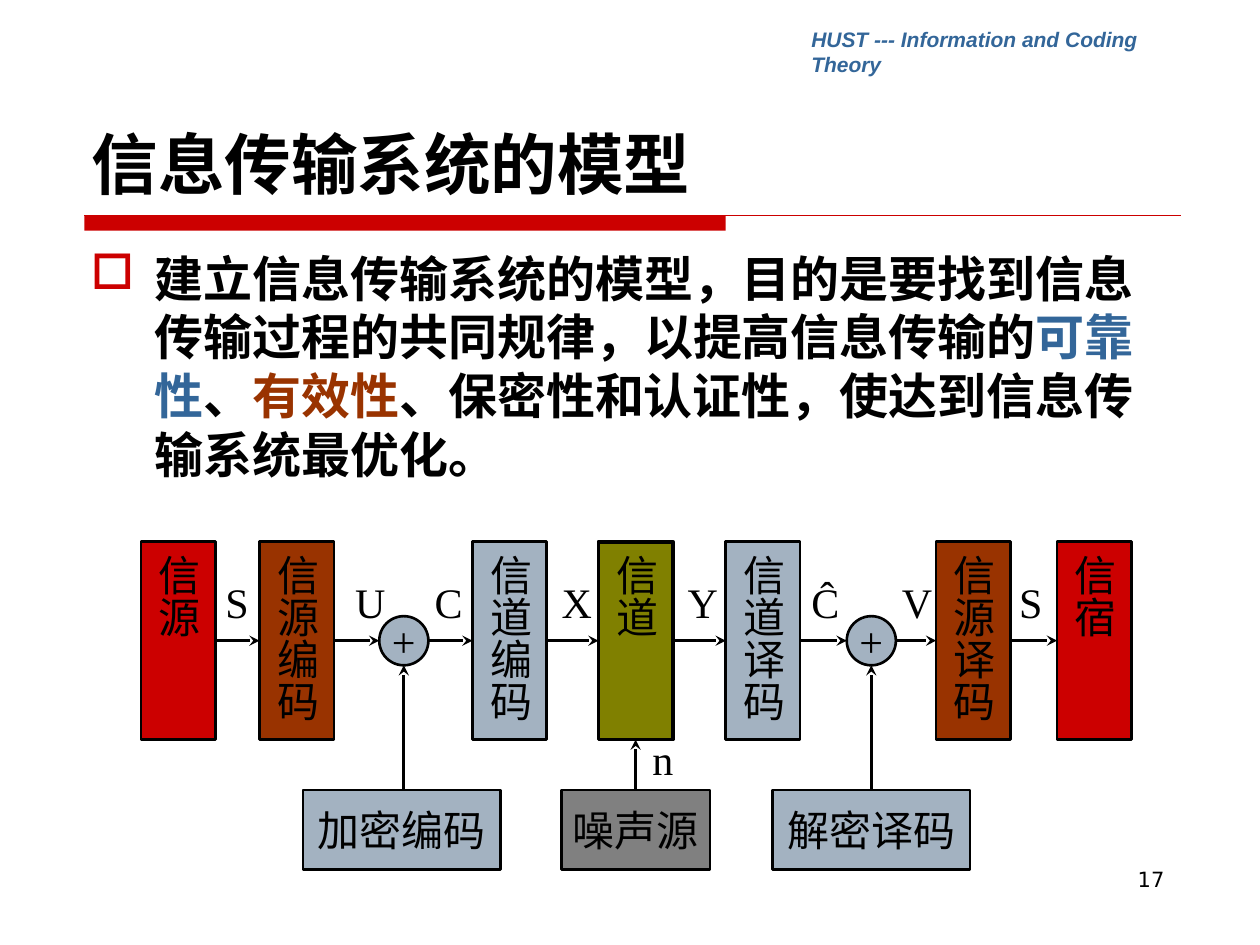
import pptx
import pptx.util
import pptx.dml.color
import pptx.enum.shapes
import pptx.enum.text
import pptx.oxml
import pptx.oxml.ns

Inches, Pt = pptx.util.Inches, pptx.util.Pt
RGB = pptx.dml.color.RGBColor
SHAPE = pptx.enum.shapes.MSO_SHAPE
LINE = pptx.enum.shapes.MSO_CONNECTOR.STRAIGHT
ALIGN = pptx.enum.text.PP_ALIGN
ANCHOR = pptx.enum.text.MSO_ANCHOR

BLACK = RGB(0x00, 0x00, 0x00)
RED = RGB(0xCC, 0x00, 0x00)
BROWN = RGB(0x99, 0x33, 0x00)
BLUE = RGB(0x33, 0x66, 0x99)
STEEL = RGB(0xA3, 0xB2, 0xC1)
OLIVE = RGB(0x80, 0x80, 0x00)
GRAY = RGB(0x80, 0x80, 0x80)
SANS, SERIF = "DejaVu Sans", "Times New Roman"

TITLE = "信息传输系统的模型"
HEADER = "HUST --- Information and Coding Theory"
BODY = [
    ("建立信息传输系统的模型，目的是要找到信息传输过程的共同规律，以提高信息传输的", BLACK),
    ("可靠性", BLUE),
    ("、", BLACK),
    ("有效性", BROWN),
    ("、保密性和认证性，使达到信息传输系统最优化。", BLACK),
]

# The chain from left to right: text, left edge, fill, line width; "+" is a mixer
CHAIN = [
    ("信源", 1.12, RED, 1.5),
    ("信源编码", 2.06, BROWN, 1.5),
    ("+", 3.01, STEEL, 1.5),
    ("信道编码", 3.75, STEEL, 1.5),
    ("信道", 4.75, OLIVE, 2.25),
    ("信道译码", 5.76, STEEL, 1.5),
    ("+", 6.72, STEEL, 1.5),
    ("信源译码", 7.43, BROWN, 1.5),
    ("信宿", 8.39, RED, 1.5),
]
SIGNALS = [("S", 1.69), ("U", 2.72), ("C", 3.35), ("X", 4.36),
           ("Y", 5.36), ("Ĉ", 6.34), ("V", 7.06), ("S", 7.99)]
# Inputs from below: text, centre, width, fill, index of the chain part fed
INPUTS = [("加密编码", 3.19, 1.57, STEEL, 2),
          ("噪声源", 5.045, 1.18, GRAY, 4),
          ("解密译码", 6.915, 1.57, STEEL, 6)]

TOP, WIDE, TALL, ROUND = 4.3, 0.59, 1.57, 0.39
MID = TOP + TALL / 2
LOW, DEEP = 6.27, 0.63

deck = pptx.Presentation()
deck.slide_width, deck.slide_height = Inches(10), Inches(7.5)
slide = deck.slides.add_slide(deck.slide_layouts[6])
shapes = slide.shapes


def write(shape, text, size=24, font=SERIF, color=BLACK, bold=False, italic=False,
          align=ALIGN.LEFT, anchor=ANCHOR.TOP, wrap=True, bullet=None):
    """Fill a shape with one paragraph; text is a string or (string, colour) runs."""
    frame = shape.text_frame
    frame.word_wrap, frame.vertical_anchor = wrap, anchor
    para = frame.paragraphs[0]
    para.alignment = align
    if bullet:
        props = para._p.get_or_add_pPr()
        props.set("marL", str(Inches(0.51)))
        props.set("indent", str(Inches(-0.51)))
        space = pptx.oxml.ns.nsdecls("a")
        props.append(pptx.oxml.parse_xml(
            f'<a:buClr {space}><a:srgbClr val="{RED}"/></a:buClr>'))
        props.append(pptx.oxml.parse_xml(f'<a:buChar {space} char="{bullet}"/>'))
    for part, tint in [(text, color)] if isinstance(text, str) else text:
        run = para.add_run()
        run.text = part
        face = run.font
        face.name, face.size, face.bold, face.italic = font, Pt(size), bold, italic
        face.color.rgb = tint


def label(text, left, top, width, height, **form):
    box = shapes.add_textbox(*map(Inches, (left, top, width, height)))
    write(box, text, **form)


def block(text, left, top, width, height, fill, line=1.5, kind=SHAPE.RECTANGLE,
          upright=False):
    part = shapes.add_shape(kind, *map(Inches, (left, top, width, height)))
    part.shadow.inherit = False
    part.fill.solid()
    part.fill.fore_color.rgb = fill
    part.line.color.rgb, part.line.width = BLACK, Pt(line)
    write(part, text, align=ALIGN.CENTER, anchor=ANCHOR.MIDDLE, wrap=False)
    if upright:
        frame = part.text_frame
        frame.margin_left = frame.margin_right = Inches(0.05)
        frame.margin_top = frame.margin_bottom = Inches(0.1)
        frame._txBody.bodyPr.set("vert", "eaVert")
    return part


def stroke(x1, y1, x2, y2, color=BLACK, width=1.5, head=True):
    link = shapes.add_connector(LINE, *map(Inches, (x1, y1, x2, y2)))
    link.line.color.rgb, link.line.width = color, Pt(width)
    space = pptx.oxml.ns.nsdecls("a")
    if head:
        link.line._get_or_add_ln().append(
            pptx.oxml.parse_xml(f'<a:tailEnd {space} type="stealth"/>'))
    link._element.spPr.append(pptx.oxml.parse_xml(f"<a:effectLst {space}/>"))
    return link


# Header, title and rule
bar = shapes.add_shape(SHAPE.RECTANGLE, *map(Inches, (0.67, 1.71, 5.09, 0.12)))
bar.shadow.inherit = False
bar.fill.solid()
bar.fill.fore_color.rgb = RED
bar.line.fill.background()
stroke(0.67, 1.71, 9.37, 1.71, color=RED, width=0.75, head=False)
label(HEADER, 6.34, 0.16, 3.39, 0.3, size=12, font="Arial", color=BLUE,
      bold=True, italic=True, wrap=False)
label(TITLE, 0.63, 0.33, 8.75, 1.33, size=38, font=SANS, bold=True,
      anchor=ANCHOR.BOTTOM)
label(BODY, 0.62, 1.92, 8.75, 2.2, size=28, font=SANS, bold=True, bullet="□")
label("17", 7.17, 6.83, 2.17, 0.52, size=12, font=SANS, align=ALIGN.RIGHT)

# Chain and its arrows
parts = []
for text, left, fill, line in CHAIN:
    if text == "+":
        part = block(text, left, MID - ROUND / 2, ROUND, ROUND, fill, line,
                     kind=SHAPE.OVAL)
    else:
        part = block(text, left, TOP, WIDE, TALL, fill, line, upright=True)
    parts.append(part)

for i in range(len(CHAIN) - 1):
    (name, left, *_), (after, end, *_) = CHAIN[i:i + 2]
    start = left + (ROUND if name == "+" else WIDE)
    link = stroke(start, MID, end, MID)
    if name != "+":
        link.begin_connect(parts[i], 3)
    if after != "+":
        link.end_connect(parts[i + 1], 1)

for text, left in SIGNALS:
    label(text, left, 4.53, 0.39, 0.5)
label("n", 5.08, 5.77, 0.39, 0.5)

# Inputs from below
for text, centre, width, fill, goal in INPUTS:
    source = block(text, centre - width / 2, LOW, width, DEEP, fill)
    name, left, *_ = CHAIN[goal]
    if name == "+":
        x = left + ROUND / 2
        stroke(x, LOW, x, MID + ROUND / 2)
    else:
        link = stroke(centre, LOW, centre, TOP + TALL)
        link.begin_connect(source, 0)
        link.end_connect(parts[goal], 2)

deck.save("out.pptx")
